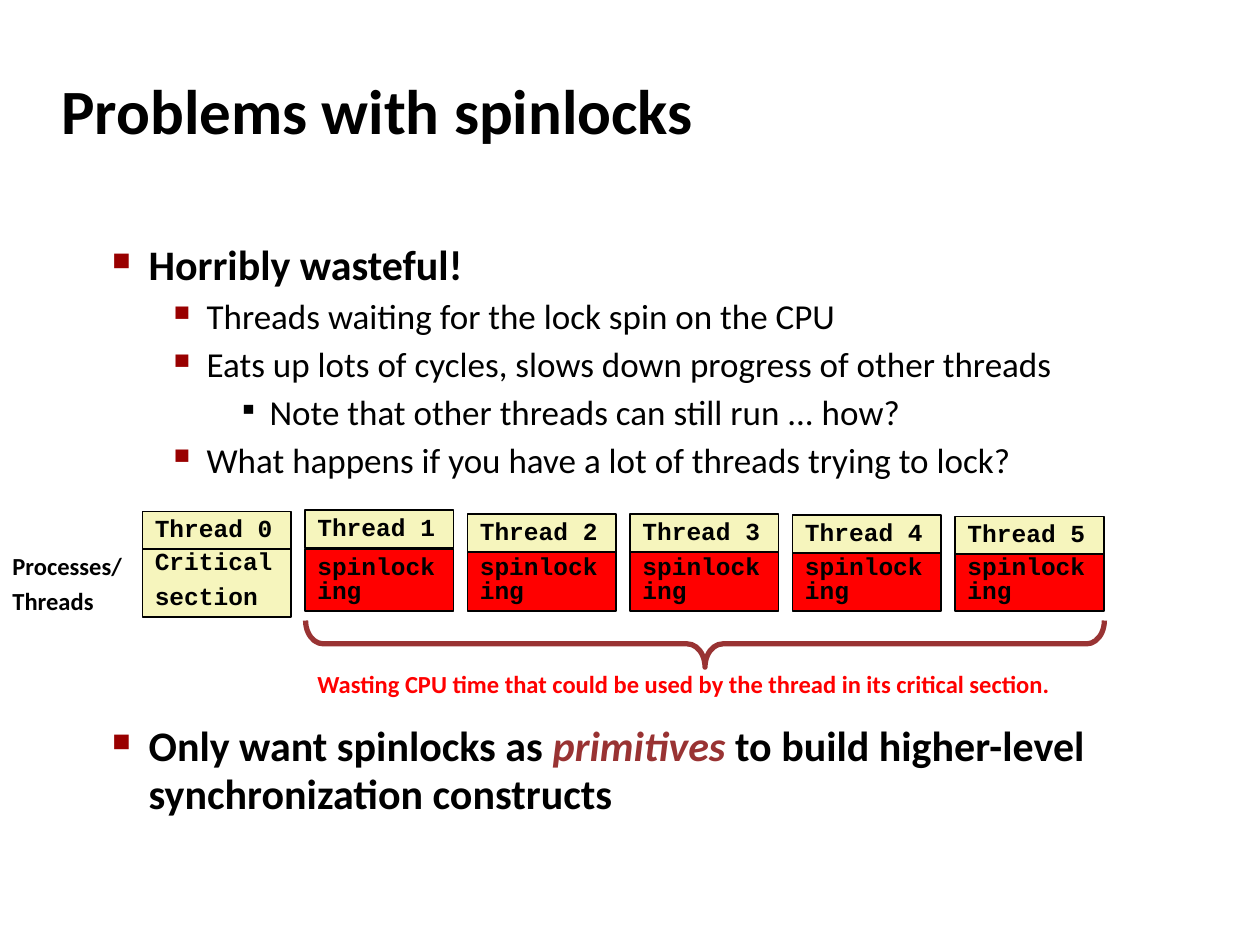
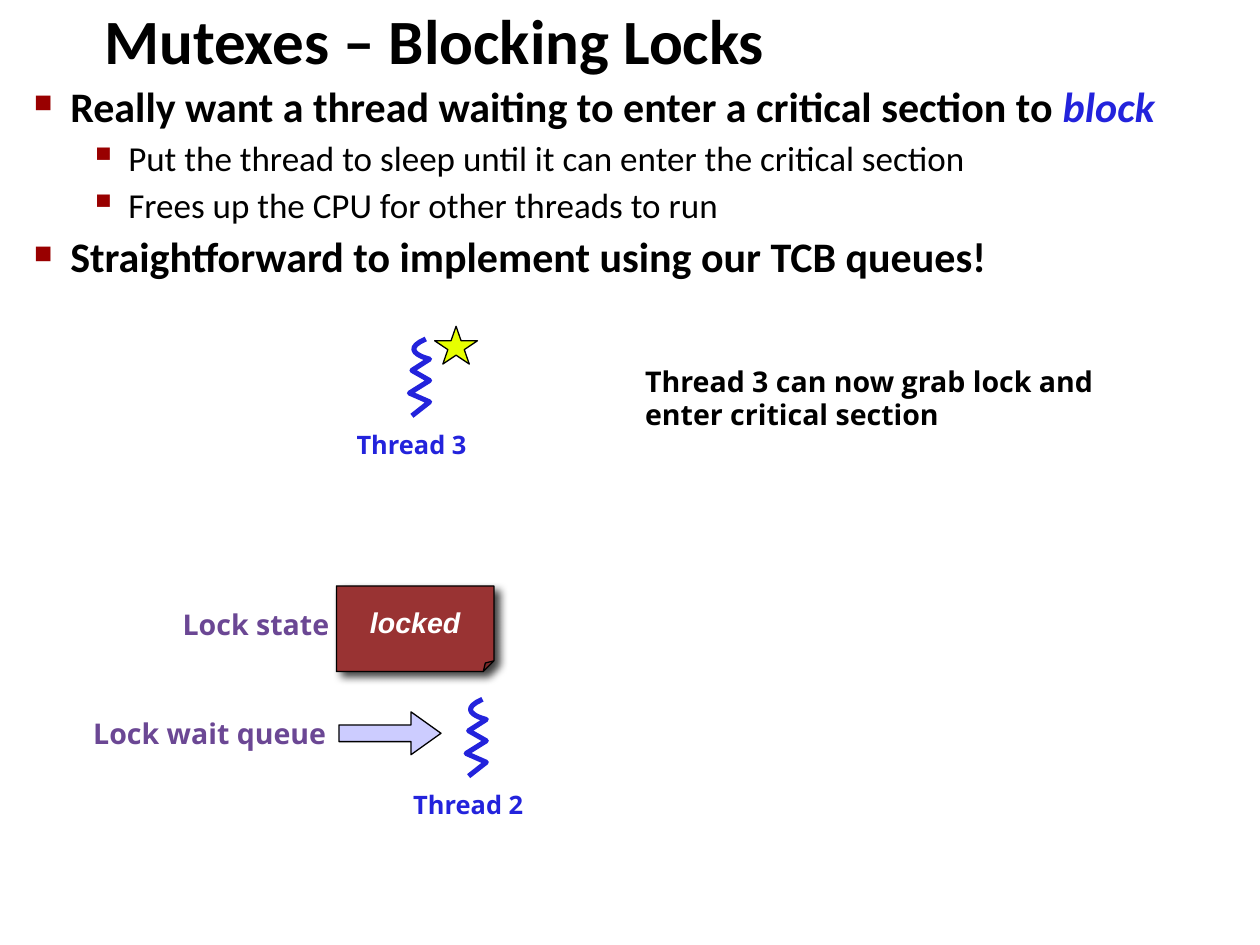
"""Build two slides on spinlocks and blocking mutexes."""
from dataclasses import dataclass
from typing import Any, NamedTuple

import lxml.etree
import pptx
import pptx.dml.color
import pptx.enum.shapes
import pptx.enum.text
import pptx.oxml.ns
import pptx.util

Inches = pptx.util.Inches
Pt = pptx.util.Pt
Shape = pptx.enum.shapes.MSO_SHAPE
Align = pptx.enum.text.PP_ALIGN
Anchor = pptx.enum.text.MSO_ANCHOR

BLACK, WHITE, RED = "000000", "FFFFFF", "FF0000"
BRICK, BULLET_RED, CREAM = "993333", "990000", "F6F5BD"
BLUE, PURPLE, LAVENDER, YELLOW = "2323DC", "6B4794", "CCCCFF", "E6FF00"


class Box(NamedTuple):
    """Left, top, width and height in inches."""
    left: float
    top: float
    width: float
    height: float

    def lengths(self) -> list[int]:
        """Return the four values as lengths."""
        return [Inches(value) for value in self]


@dataclass(frozen=True)
class Style:
    """Character and paragraph look of a plain text block."""
    font: str
    size: float
    color: str = BLACK
    italic: bool = False
    line_spacing: float = 0.95
    space_before: float = 0
    inset: tuple[float, float] = (0.1, 0.05)
    anchor: Any = Anchor.MIDDLE
    align: Any = Align.LEFT


@dataclass(frozen=True)
class Level:
    """Look of one outline level."""
    margin: float
    indent: float
    size: float
    bold: bool
    bullet: str
    bullet_percent: int
    bullet_color: str


class Point(NamedTuple):
    """One outline point, with an optional emphasised phrase inside it."""
    level: int
    text: str
    emphasis: str = ""
    rest: str = ""
    color: str = BLACK
    space_before: float | None = None


LEVELS = [
    Level(0.29, -0.38, 24, True, "■", 60, BULLET_RED),
    Level(0.75, -0.31, 20, False, "▪", 110, BULLET_RED),
    Level(1.25, -0.25, 20, False, "▪", 80, BLACK),
]
TITLE = Style("Calibri", 36)
CODE = Style("Courier New", 14, line_spacing=0.8, space_before=6.8)
NOTE = Style("Calibri", 14, line_spacing=0.8, space_before=6.8)
WARNING = Style("Calibri", 14, RED, line_spacing=0.8)
CAPTION = Style("Open Sans", 16.3, PURPLE, inset=(0, 0), anchor=Anchor.TOP)
REMARK = Style("Open Sans", 16.3, inset=(0, 0), anchor=Anchor.TOP)
THREAD = Style("Open Sans", 14.5, BLUE, inset=(0, 0), anchor=Anchor.TOP)
STATE = Style("Arial", 16.3, WHITE, italic=True, inset=(0, 0), align=Align.CENTER)


def rgb(color: str) -> pptx.dml.color.RGBColor:
    """Turn a hex string into a colour."""
    return pptx.dml.color.RGBColor.from_string(color)


def add_element(parent: Any, tag: str, **attributes: Any) -> Any:
    """Append a drawing element with its attributes."""
    element = lxml.etree.SubElement(parent, pptx.oxml.ns.qn(tag))
    for key, value in attributes.items():
        element.set(key, str(value))
    return element


def format_font(font: Any, name: str, size: float, color: str,
                bold: bool = True, italic: bool = False) -> None:
    """Set every font property used in the deck."""
    font.name, font.size, font.bold, font.italic = name, Pt(size), bold, italic
    font.color.rgb = rgb(color)


def prepare_frame(frame: Any, inset: tuple[float, float], anchor: Any) -> None:
    """Set wrapping, insets and vertical anchor."""
    frame.word_wrap = True
    frame.margin_left = frame.margin_right = Inches(inset[0])
    frame.margin_top = frame.margin_bottom = Inches(inset[1])
    frame.vertical_anchor = anchor


def write(frame: Any, text: str, style: Style) -> None:
    """Fill a frame with one paragraph per line of text."""
    prepare_frame(frame, style.inset, style.anchor)
    frame.text = text
    for index, paragraph in enumerate(frame.paragraphs):
        paragraph.alignment = style.align
        paragraph.line_spacing = style.line_spacing
        if index:
            paragraph.space_before = Pt(style.space_before)
        for run in paragraph.runs:
            format_font(run.font, style.font, style.size, style.color, italic=style.italic)


def add_text(shapes: Any, box: Box, text: str, style: Style) -> None:
    """Add a styled text box."""
    write(shapes.add_textbox(*box.lengths()).text_frame, text, style)


def add_figure(shapes: Any, kind: Any, box: Box, fill: str | None,
               line: str = BLACK, width: float = 0.75) -> Any:
    """Add a flat preset shape."""
    figure = shapes.add_shape(kind, *box.lengths())
    figure.shadow.inherit = False
    if fill:
        figure.fill.solid()
        figure.fill.fore_color.rgb = rgb(fill)
    else:
        figure.fill.background()
    figure.line.color.rgb = rgb(line)
    figure.line.width = Pt(width)
    return figure


def adjust(figure: Any, **guides: float) -> None:
    """Set the named adjustment guides of a preset shape."""
    values = figure._element.spPr.find(".//" + pptx.oxml.ns.qn("a:avLst"))
    for guide in list(values):
        values.remove(guide)
    for name, share in guides.items():
        add_element(values, "a:gd", name=name, fmla=f"val {round(share * 100000)}")


def add_outline(slide: Any, box: Box, points: list[Point], gap: float,
                left_inset: float = 0.1, anchor: Any = Anchor.TOP) -> None:
    """Add the bulleted outline, with gaps as a share of the text size."""
    frame = slide.shapes.add_textbox(*box.lengths()).text_frame
    prepare_frame(frame, (0.1, 0.05), anchor)
    frame.margin_left = Inches(left_inset)
    for index, point in enumerate(points):
        level = LEVELS[point.level]
        paragraph = frame.add_paragraph() if index else frame.paragraphs[0]
        paragraph.text = point.text
        paragraph.level = point.level
        paragraph.line_spacing = 0.95
        if index:
            paragraph.space_before = Pt(point.space_before or gap * level.size)
        properties = paragraph._p.get_or_add_pPr()
        properties.set("marL", str(Inches(level.margin)))
        properties.set("indent", str(Inches(level.indent)))
        bullet_color = add_element(properties, "a:buClr")
        add_element(bullet_color, "a:srgbClr", val=level.bullet_color)
        add_element(properties, "a:buSzPct", val=level.bullet_percent * 1000)
        add_element(properties, "a:buChar", char=level.bullet)
        for extra in filter(None, (point.emphasis, point.rest)):
            paragraph.add_run().text = extra
        for position, run in enumerate(paragraph.runs):
            emphasised = position == 1
            format_font(run.font, "Calibri", level.size,
                        point.color if emphasised else BLACK, level.bold, emphasised)


def add_thread(slide: Any, left: float, top: float, label: str) -> None:
    """Draw a squiggly thread with its label below."""
    start, control, end = (0.23, 0), (0, 0.1), (0.26, 0.16)
    steps = [step / 12 for step in range(13)]
    hook = [tuple((1 - t) ** 3 * a + 3 * (1 - t) ** 2 * t * b + (3 * (1 - t) + t) * t * t * c
                  for a, b, c in zip(start, control, end)) for t in steps]
    zigzag = [(0.12, 0.25), (0.26, 0.33), (0.1, 0.43), (0.26, 0.5), (0.12, 0.61)]
    trail = [(Inches(left + x), Inches(top + y)) for x, y in hook + zigzag]
    shapes = slide.shapes.add_group_shape().shapes
    builder = shapes.build_freeform(*trail[0])
    builder.add_line_segments(trail[1:], close=False)
    squiggle = builder.convert_to_shape()
    squiggle.shadow.inherit = False
    squiggle.fill.background()
    squiggle.line.color.rgb = rgb(BLUE)
    squiggle.line.width = Pt(2.89)
    add_text(shapes, Box(left - 0.32, top + 0.73, 0.97, 0.47), label, THREAD)


def add_shadow(figure: Any) -> None:
    """Give a shape a soft shadow to its lower right."""
    effects = figure._element.spPr.find(pptx.oxml.ns.qn("a:effectLst"))
    shadow = add_element(effects, "a:outerShdw", blurRad=Pt(5), dist=Pt(4.1),
                         dir=45 * 60000, algn="tl", rotWithShape=0)
    color = add_element(shadow, "a:srgbClr", val=BLACK)
    add_element(color, "a:alpha", val=75000)


def add_slide(deck: Any, title: str, box: Box) -> Any:
    """Add a blank slide with its title."""
    slide = deck.slides.add_slide(deck.slide_layouts[6])
    add_text(slide.shapes, box, title, TITLE)
    return slide


def build_spinlocks(deck: Any) -> None:
    """Build the slide on the cost of spinning."""
    slide = add_slide(deck, "Problems with spinlocks", Box(0.39, 0.48, 8.3, 0.83))
    shapes = slide.shapes
    add_outline(slide, Box(0.43, 1.49, 8.64, 5.44), [
        Point(0, "Horribly wasteful!"),
        Point(1, "Threads waiting for the lock spin on the CPU"),
        Point(1, "Eats up lots of cycles, slows down progress of other threads"),
        Point(2, "Note that other threads can still run ... how?"),
        Point(1, "What happens if you have a lot of threads trying to lock?"),
        Point(0, "Only want spinlocks as ", "primitives",
              " to build higher-level synchronization constructs", BRICK, 138),
    ], gap=0.225, left_inset=0.46, anchor=Anchor.MIDDLE)

    header_tops = [4.06, 4.05, 4.08, 4.08, 4.09, 4.1]
    lefts = [1.13 + 1.29 * number for number in range(len(header_tops))]
    critical = add_figure(shapes, Shape.RECTANGLE, Box(lefts[0], 4.32, 1.18, 0.58),
                          CREAM, width=1)
    write(critical.text_frame, "Critical\nsection", CODE)
    for left in lefts[1:]:
        spinning = add_figure(shapes, Shape.RECTANGLE, Box(left, 4.36, 1.18, 0.49),
                              RED, width=1)
        write(spinning.text_frame, "spinlocking", CODE)
    add_text(shapes, Box(0, 4.36, 1.52, 0.58), "Processes/\nThreads", NOTE)
    brace = add_figure(shapes, Shape.RIGHT_BRACE, Box(5.41, 1.94, 0.37, 6.34), None,
                       BRICK, 3)
    adjust(brace, adj1=0.38, adj2=0.5)
    brace.rotation = 90
    add_text(shapes, Box(2.42, 5.3, 6.53, 0.29),
             "Wasting CPU time that could be used by the thread in its critical section.",
             WARNING)
    for number, (left, top) in enumerate(zip(lefts, header_tops)):
        header = add_figure(shapes, Shape.RECTANGLE, Box(left, top, 1.18, 0.3),
                            CREAM, width=1)
        write(header.text_frame, f"Thread {number}", CODE)


def build_mutexes(deck: Any) -> None:
    """Build the slide on locks that put waiting threads to sleep."""
    slide = add_slide(deck, "Mutexes – Blocking Locks", Box(0.73, 0.08, 8.54, 0.52))
    shapes = slide.shapes
    add_outline(slide, Box(0.17, 0.62, 9.63, 6.14), [
        Point(0, "Really want a thread waiting to enter a critical section to ",
              "block", color=BLUE),
        Point(1, "Put the thread to sleep until it can enter the critical section"),
        Point(1, "Frees up the CPU for other threads to run"),
        Point(0, "Straightforward to implement using our TCB queues!"),
    ], gap=0.2)

    add_text(shapes, Box(0.74, 5.7, 1.9, 0.26), "Lock wait queue", CAPTION)
    queue_arrow = add_figure(shapes, Shape.RIGHT_ARROW, Box(2.69, 5.65, 0.81, 0.34),
                             LAVENDER)
    adjust(queue_arrow, adj1=0.39, adj2=0.7)
    add_text(shapes, Box(5.12, 2.91, 3.6, 0.51),
             "Thread 3 can now grab lock and\nenter critical section", REMARK)
    add_thread(slide, 3.6, 5.55, "Thread 2")
    add_thread(slide, 3.15, 2.69, "Thread 3")
    add_figure(shapes, Shape.STAR_5_POINT, Box(3.45, 2.59, 0.34, 0.3), YELLOW)
    lock = add_figure(shapes, Shape.FOLDED_CORNER, Box(2.67, 4.65, 1.25, 0.68), BRICK)
    adjust(lock, adj=0.125)
    add_shadow(lock)
    write(lock.text_frame, "locked", STATE)
    add_text(shapes, Box(1.45, 4.84, 1.2, 0.26), "Lock state", CAPTION)


def main() -> None:
    """Build and save the deck."""
    deck = pptx.Presentation()
    deck.slide_width, deck.slide_height = Inches(10), Inches(7.5)
    build_spinlocks(deck)
    build_mutexes(deck)
    deck.save("out.pptx")


if __name__ == "__main__":
    main()
